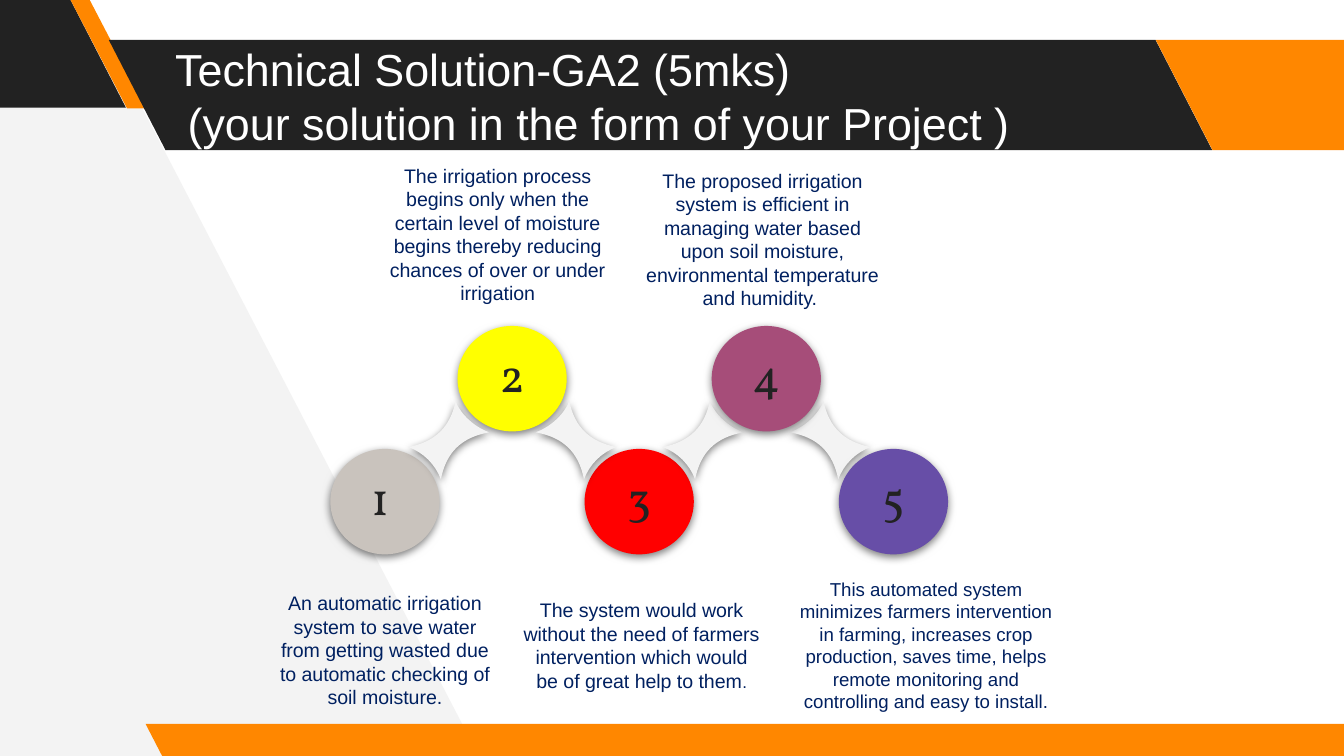
from dataclasses import dataclass

from lxml import etree
from pptx import Presentation
from pptx import util as u
from pptx.dml.color import RGBColor
from pptx.enum import shapes, text
from pptx.oxml import ns

Pt = u.Pt


@dataclass(frozen=True)
class Theme:
    dark: str = "222222"
    orange: str = "FF8700"
    pale: str = "F3F3F3"
    white: str = "FFFFFF"
    navy: str = "002060"
    steps: tuple = ("C9C3BD", "FFFF00", "FF0000", "A64D79", "674EA7")
    body_font: str = "Arial"
    number_font: str = "Vollkorn"
    title_size: float = 24
    number_size: float = 25
    caption_size: float = 10.5
    small_caption_size: float = 10
    full_stop_size: float = 9


THEME = Theme()

# Zigzag of steps: odd steps sit low, even steps sit high
STEP_LEFT, STEP_PITCH = 177, 68.1
STEP_WIDTH, STEP_HEIGHT = 58.5, 56.5
LOW_TOP, HIGH_TOP = 240.5, 174.6
LINK_LEFT, LINK_TOP, LINK_WIDTH = 218.9, 215, 43.2

# Rising link: start point, then Bezier segments (two controls and an end)
LINK_START = (25.2, 0)
LINK_CURVES = (
    ((22.3, 13.7), (14.4, 21.6), (0, 24.5)),
    ((7.9, 27.4), (14.4, 33.8), (17.3, 41.8)),
    ((20.2, 27.4), (28.1, 19.4), (43.2, 16.6)),
    ((35.3, 13.7), (28.1, 7.2), (25.2, 0)),
)

# Slanted bands: left, top, width, height, slant, colour
BANDS = (
    (-71, -1.4, 138.5, 59, 0.515, THEME.dark),
    (37.4, -0.9, 41, 59, 0.75, THEME.orange),
    (58.3, 21.4, 591.1, 59, 0.515, THEME.dark),
    (619.2, 21.4, 138.2, 59, 0.515, THEME.orange),
    (78, 387.8, 658.8, 18, 0.515, THEME.orange),
)

# Captions: left, top, width, height, runs of (words, size)
CAPTIONS = (
    (142.6, 313.2, 127.4, 70.6, [(
        "An automatic irrigation system to save water from getting wasted "
        "due to automatic checking of soil moisture.", THEME.caption_size)]),
    (195.8, 84.2, 141.8, 83.5, [(
        "The irrigation process begins only when the certain level of moisture "
        "begins thereby reducing chances of over or under irrigation",
        THEME.caption_size)]),
    (272.9, 316.8, 141.8, 70.6, [(
        "The system would work without the need of farmers intervention "
        "which would be of great help to them", THEME.caption_size),
        (".", THEME.full_stop_size)]),
    (337.7, 86.8, 141.8, 83.5, [(
        "The proposed irrigation system is efficient in managing water based "
        "upon soil moisture, environmental temperature and humidity. ",
        THEME.caption_size)]),
    (419, 306, 154.1, 79.9, [(
        "This automated system minimizes farmers intervention in farming, "
        "increases crop production, saves time, helps remote monitoring and "
        "controlling and easy to install.", THEME.small_caption_size)]),
)


def paint(shape, colour):
    shape.shadow.inherit = False
    shape.fill.solid()
    shape.fill.fore_color.rgb = RGBColor.from_string(colour)
    shape.line.fill.background()


def cast_shadow(shape):
    effects = shape._element.spPr.find(ns.qn("a:effectLst"))
    shadow = etree.SubElement(
        effects, ns.qn("a:outerShdw"), blurRad=str(Pt(4.5)), dist=str(Pt(1.5)),
        dir="5400000", algn="bl", rotWithShape="0")
    black = etree.SubElement(shadow, ns.qn("a:srgbClr"), val="000000")
    etree.SubElement(black, ns.qn("a:alpha"), val="49000")


def set_frame(frame, insets, anchor):
    frame.word_wrap = True
    frame.vertical_anchor = anchor
    (frame.margin_left, frame.margin_top,
     frame.margin_right, frame.margin_bottom) = map(Pt, insets)


def add_run(paragraph, words, size, colour, font):
    run = paragraph.add_run()
    run.text = words
    run.font.size = Pt(size)
    run.font.name = font
    run.font.color.rgb = RGBColor.from_string(colour)


def add_outline(slide, points, colour):
    builder = slide.shapes.build_freeform(Pt(points[0][0]), Pt(points[0][1]))
    builder.add_line_segments([(Pt(x), Pt(y)) for x, y in points[1:]], close=True)
    outline = builder.convert_to_shape()
    paint(outline, colour)
    return outline


def add_band(slide, left, top, width, height, slant, colour):
    band = slide.shapes.add_shape(
        shapes.MSO_SHAPE.PARALLELOGRAM, Pt(left), Pt(top), Pt(width), Pt(height))
    band.adjustments[0] = slant
    band._element.spPr.xfrm.set("flipH", "1")
    paint(band, colour)


def add_title(slide, lines):
    title = slide.shapes.add_textbox(Pt(86.8), Pt(21.6), Pt(596.2), Pt(59))
    set_frame(title.text_frame, (7.2,) * 4, text.MSO_ANCHOR.MIDDLE)
    paragraph = title.text_frame.paragraphs[0]
    for index, line in enumerate(lines):
        if index:
            paragraph.add_line_break()
        add_run(paragraph, line, THEME.title_size, THEME.white, THEME.body_font)


def add_step(slide, number):
    top = LOW_TOP if number % 2 else HIGH_TOP
    step = slide.shapes.add_shape(
        shapes.MSO_SHAPE.OVAL, Pt(STEP_LEFT + (number - 1) * STEP_PITCH), Pt(top),
        Pt(STEP_WIDTH), Pt(STEP_HEIGHT))
    paint(step, THEME.steps[number - 1])
    cast_shadow(step)
    left_inset = 0 if number == 1 else 5
    set_frame(step.text_frame, (left_inset, 2.6, 5, 2.6), text.MSO_ANCHOR.TOP)
    paragraph = step.text_frame.paragraphs[0]
    paragraph.alignment = text.PP_ALIGN.CENTER
    add_run(paragraph, str(number), THEME.number_size, THEME.dark, THEME.number_font)


def add_link(slide, index):
    def place(point):  # falling links mirror the rising ones
        x, y = point
        return (LINK_WIDTH - x if index % 2 else x), y

    left = LINK_LEFT + index * STEP_PITCH
    corners = [place(p) for p in (LINK_START, *(curve[-1] for curve in LINK_CURVES))]
    link = add_outline(slide, [(left + x, LINK_TOP + y) for x, y in corners],
                       THEME.pale)
    # Bend each straight side into its Bezier segment
    sides = list(link._element.iter(ns.qn("a:lnTo")))
    for side, curve in zip(sides, LINK_CURVES):
        bend = etree.Element(ns.qn("a:cubicBezTo"))
        for x, y in map(place, curve):
            etree.SubElement(bend, ns.qn("a:pt"), x=str(Pt(x)), y=str(Pt(y)))
        side.getparent().replace(side, bend)
    cast_shadow(link)


def add_caption(slide, left, top, width, height, runs):
    caption = slide.shapes.add_textbox(Pt(left), Pt(top), Pt(width), Pt(height))
    set_frame(caption.text_frame, (7.2, 3.6, 7.2, 3.6), text.MSO_ANCHOR.TOP)
    paragraph = caption.text_frame.paragraphs[0]
    paragraph.alignment = text.PP_ALIGN.CENTER
    for words, size in runs:
        add_run(paragraph, words, size, THEME.navy, THEME.body_font)


def main():
    deck = Presentation()
    deck.slide_width, deck.slide_height = Pt(720), Pt(405)
    slide = deck.slides.add_slide(deck.slide_layouts[6])

    # Backdrop and title
    add_outline(slide, [(256.3, 404.6), (44.6, -2.9), (-4.3, -2.9), (-1.4, 407.5)],
                THEME.pale)
    for band in BANDS:
        add_band(slide, *band)
    add_title(slide, ("Technical Solution-GA2 (5mks) ",
                      " (your solution in the form of your Project )"))

    # Step chain: the links lie over the first three steps, under the last two
    for number in (1, 2, 3):
        add_step(slide, number)
    for index in range(4):
        add_link(slide, index)
    for number in (4, 5):
        add_step(slide, number)

    # Captions
    for caption in CAPTIONS:
        add_caption(slide, *caption)

    deck.save("out.pptx")


if __name__ == "__main__":
    main()
